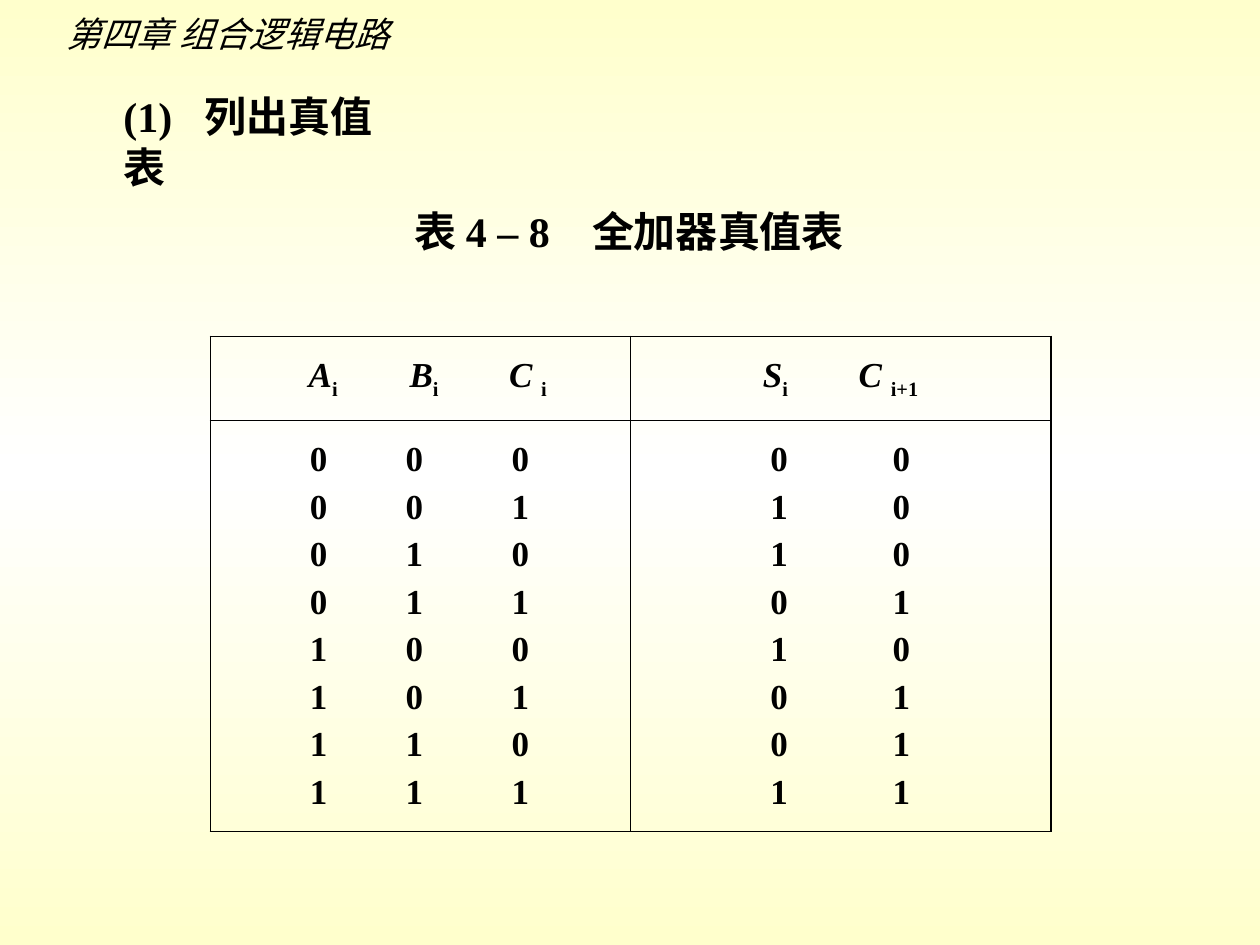
from copy import deepcopy
from itertools import product

from lxml import etree
from pptx import Presentation
from pptx.dml.color import RGBColor
from pptx.enum.text import MSO_ANCHOR, MSO_AUTO_SIZE, PP_ALIGN
from pptx.oxml.ns import qn
from pptx.util import Inches, Pt

LEFT, TOP, MIDDLE = PP_ALIGN.LEFT, MSO_ANCHOR.TOP, MSO_ANCHOR.MIDDLE
FIT_SHAPE = MSO_AUTO_SIZE.SHAPE_TO_FIT_TEXT
TITLE_ONLY = 5

COLORS = {"ink": "000000", "edge": "FFFFCC", "center": "FFFFFF"}
LATIN, CHINESE = "Times New Roman", "Noto Sans CJK SC"
OUTER_LINE, INNER_LINE = 1.08, 0.45

# Tab stops in inches from the text edge of each table column
HEADER_STOPS = [(0.68, 1.48, 2.27), (0.95, 1.71)]
DIGIT_STOPS = [(0.69, 1.45, 2.29), (1.01, 1.98)]
HEADERS = [[("A", "i"), ("B", "i"), ("C ", "i")], [("S", "i"), ("C ", "i+1")]]


def set_background(slide):
    fill = slide.background.fill
    fill.gradient()
    fill.gradient_angle = 90
    stop_list = slide.element.find(".//" + qn("a:gsLst"))
    stop_list.append(deepcopy(stop_list[0]))
    names = ("edge", "center", "edge")
    for stop, position, name in zip(fill.gradient_stops, (0, 0.5, 1), names):
        stop.position = position
        stop.color.rgb = RGBColor.from_string(COLORS[name])


def add_text(paragraph, text, size=20, font=LATIN, bold=True, italic=False, baseline=0):
    run = paragraph.add_run()
    run.text = text
    run.font.size = Pt(size)
    run.font.name = font
    run.font.bold = bold
    run.font.italic = italic
    run.font.color.rgb = RGBColor.from_string(COLORS["ink"])
    properties = run.font._element
    etree.SubElement(properties, qn("a:ea")).set("typeface", CHINESE)
    if baseline:
        properties.set("baseline", str(baseline * 1000))


def set_tabs(paragraph, stops):
    tab_list = etree.SubElement(paragraph._p.get_or_add_pPr(), qn("a:tabLst"))
    for stop in stops:
        etree.SubElement(tab_list, qn("a:tab"), pos=str(Inches(stop)), algn="l")


def place_line(shape, box, text, stops=(), **text_format):
    """Position a text shape and give it one unwrapped line."""
    shape.left, shape.top, shape.width, shape.height = map(Inches, box)
    frame = shape.text_frame
    frame.word_wrap = False
    frame.auto_size = FIT_SHAPE
    frame.vertical_anchor = TOP
    paragraph = frame.paragraphs[0]
    paragraph.alignment = LEFT
    set_tabs(paragraph, stops)
    add_text(paragraph, text, **text_format)


def add_line(slide, box, text, **text_format):
    place_line(slide.shapes.add_textbox(0, 0, 0, 0), box, text, **text_format)


def set_borders(cell, widths):
    """Draw the left, right, top and bottom borders, in points."""
    properties = cell._tc.get_or_add_tcPr()
    for index, (side, width) in enumerate(zip("LRTB", widths)):
        line = etree.Element(qn("a:ln" + side), w=str(Pt(width)))
        fill = etree.SubElement(line, qn("a:solidFill"))
        etree.SubElement(fill, qn("a:srgbClr"), val=COLORS["ink"])
        properties.insert(index, line)


def start_row(paragraph, stops):
    paragraph.alignment = LEFT
    paragraph.space_before = Pt(5)
    set_tabs(paragraph, stops)


def fill_header(cell, symbols, stops):
    paragraph = cell.text_frame.paragraphs[0]
    start_row(paragraph, stops)
    for letter, subscript in symbols:
        add_text(paragraph, "\t" + letter, italic=True)
        add_text(paragraph, subscript, baseline=-25)


def fill_digits(cell, rows, stops):
    frame = cell.text_frame
    for index, row in enumerate(rows):
        paragraph = frame.add_paragraph() if index else frame.paragraphs[0]
        start_row(paragraph, stops)
        add_text(paragraph, "".join(f"\t{digit}" for digit in row))


def add_truth_table(slide):
    left, top, width, heights = 1.67, 2.67, 6.67, (0.67, 3.26)
    frame = slide.shapes.add_table(
        2, 2, Inches(left), Inches(top), Inches(width), Inches(sum(heights)))
    table = frame.table
    table.first_row = table.horz_banding = False
    for row, height in zip(table.rows, heights):
        row.height = Inches(height)

    inputs = list(product((0, 1), repeat=3))
    outputs = [(sum(bits) % 2, sum(bits) // 2) for bits in inputs]
    for column, digits in enumerate((inputs, outputs)):
        fill_header(table.cell(0, column), HEADERS[column], HEADER_STOPS[column])
        fill_digits(table.cell(1, column), digits, DIGIT_STOPS[column])

    for row, column in product(range(2), repeat=2):
        cell = table.cell(row, column)
        cell.vertical_anchor = MIDDLE
        cell.fill.background()
        on_edge = (column == 0, column == 1, row == 0, row == 1)
        set_borders(cell, [OUTER_LINE if edge else INNER_LINE for edge in on_edge])


def main():
    presentation = Presentation()
    presentation.slide_width, presentation.slide_height = Inches(10), Inches(7.5)
    slide = presentation.slides.add_slide(presentation.slide_layouts[TITLE_ONLY])
    set_background(slide)
    add_line(slide, (0.43, 0.05, 2.83, 0.44), "第四章 组合逻辑电路",
             font=CHINESE, bold=False, italic=True)
    place_line(slide.shapes.title, (0.88, 0.67, 2.5, 0.5), "(1)\t列出真值表",
               stops=[0.64], size=24)
    add_line(slide, (3.19, 1.58, 3.68, 0.5), "表 4 – 8\t全加器真值表",
             stops=[1.41], size=24)
    add_truth_table(slide)
    presentation.save("out.pptx")


if __name__ == "__main__":
    main()
